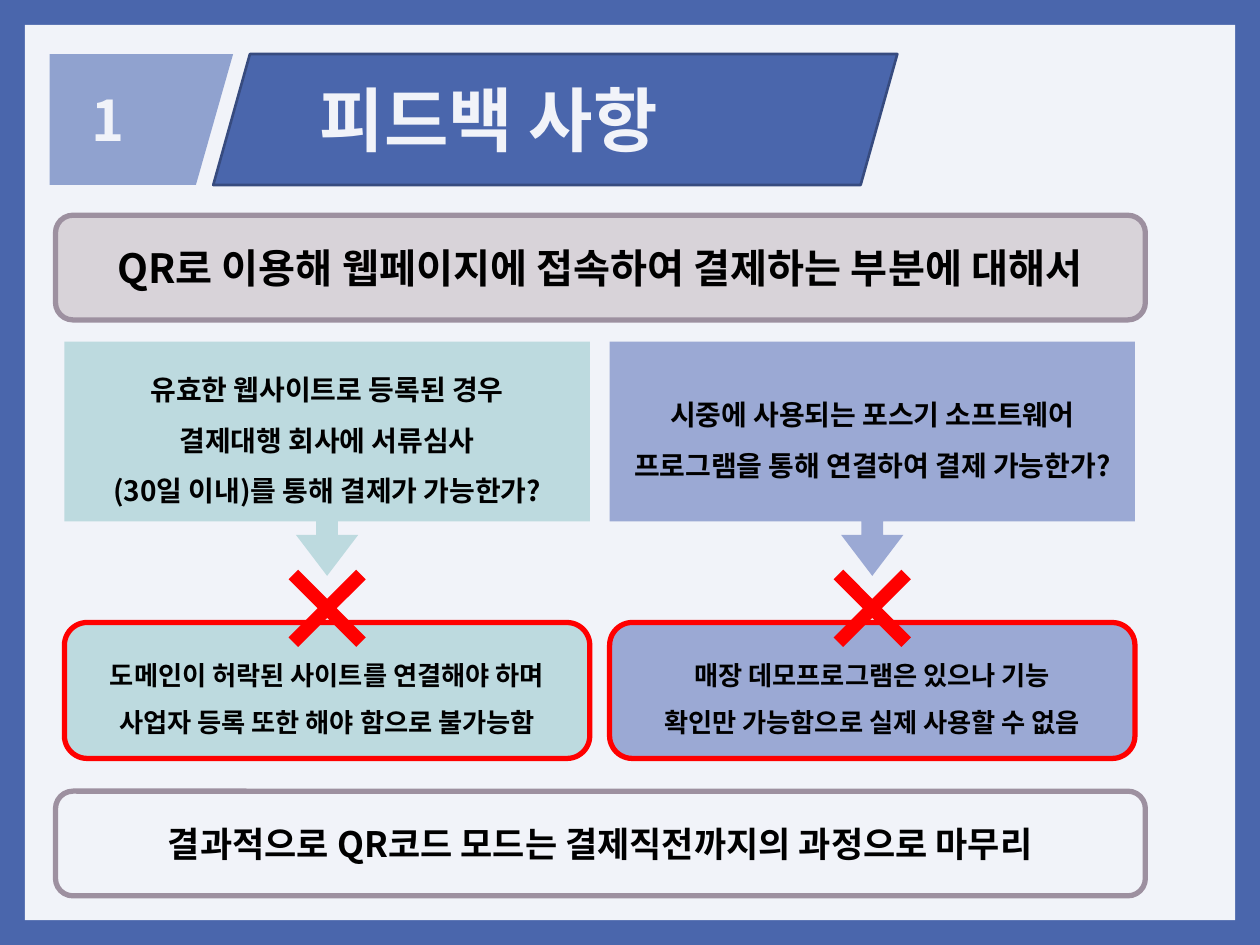
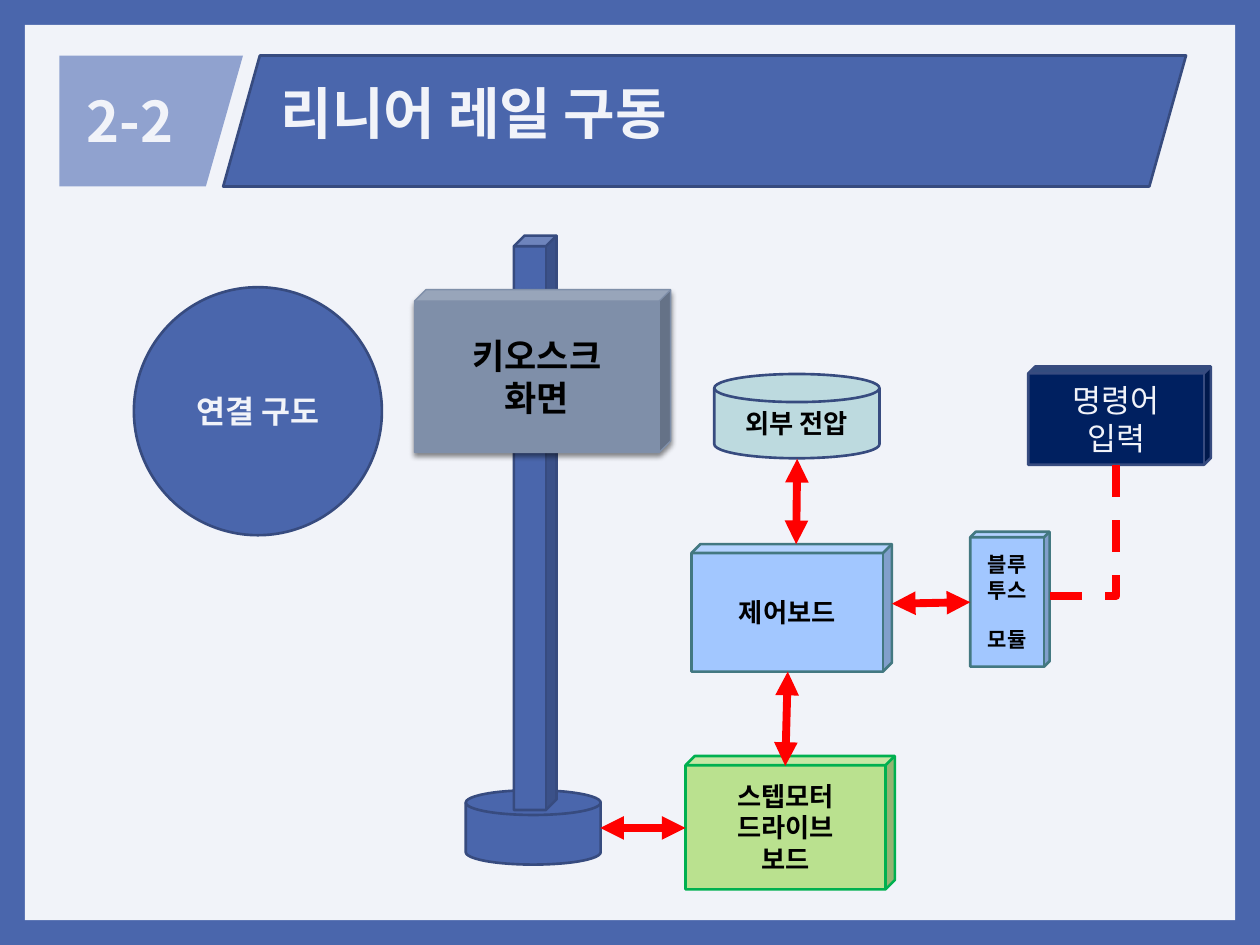
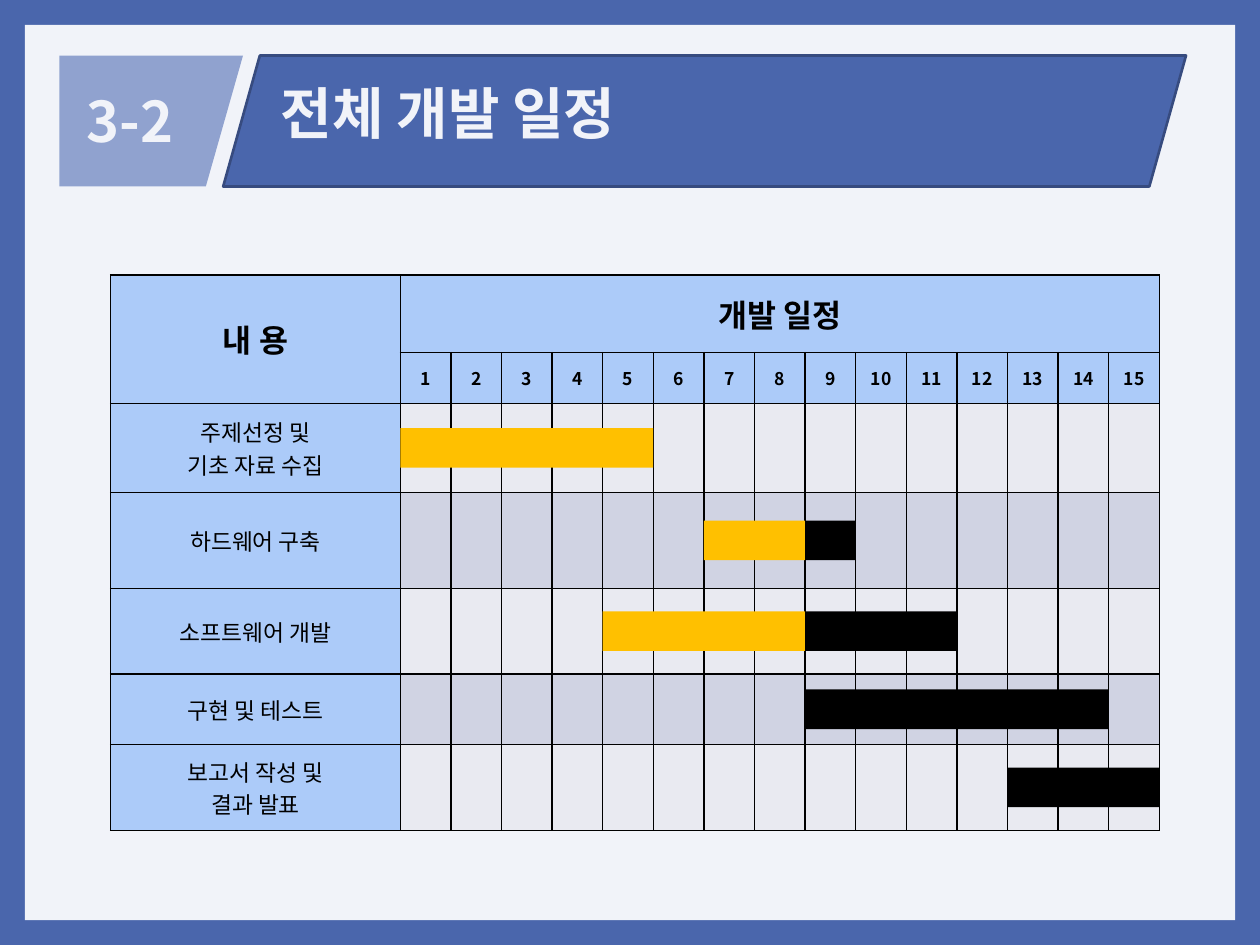
"""Build three project slides: feedback, linear rail diagram and schedule."""
from lxml import etree
from pptx import Presentation
from pptx import util as u
from pptx.dml.color import RGBColor
from pptx.enum import dml, shapes, text
from pptx.oxml import ns

Cm, Pt = u.Cm, u.Pt
Kind = shapes.MSO_SHAPE

FONT = "Noto Sans CJK KR"
BLUE = RGBColor(0x4A, 0x66, 0xAC)
DARK_BLUE = RGBColor(0x37, 0x4B, 0x7F)
LIGHT_BLUE = RGBColor(0x90, 0xA2, 0xCF)
PAPER = RGBColor(0xF1, 0xF3, 0xF9)
BLACK = RGBColor(0, 0, 0)
RED = RGBColor(0xFF, 0, 0)
MAUVE = RGBColor(0x9D, 0x90, 0xA0)
PALE_MAUVE = RGBColor(0xD8, 0xD3, 0xD9)
TEAL = RGBColor(0xBD, 0xDA, 0xDF)
PERIWINKLE = RGBColor(0x9B, 0xA9, 0xD4)
STEEL = RGBColor(0x7F, 0x8F, 0xA9)
SKY = RGBColor(0xA2, 0xC7, 0xFF)
DARK_TEAL = RGBColor(0x43, 0x78, 0x81)
LIME = RGBColor(0xBA, 0xE1, 0x8F)
GREEN = RGBColor(0, 0xB0, 0x50)
NAVY = RGBColor(0, 0x20, 0x60)
HEADER_FILL = RGBColor(0xAC, 0xCB, 0xF9)
ROW_FILLS = RGBColor(0xE9, 0xEA, 0xF1), RGBColor(0xD0, 0xD3, 0xE3)
GOLD = RGBColor(0xFF, 0xC0, 0)

WEEKS = 15
TABLE_LEFT, TABLE_TOP = 2.23, 5.54
LABEL_WIDTH, WEEK_WIDTH = 5.84, 1.02
ROW_HEIGHTS = [1.57, 1.02, 1.8, 1.93, 1.73, 1.42, 1.73]
BAR_HEIGHT = 0.8


def add_xml(parent, tag, **values):
    """Append a DrawingML element and return it."""
    return etree.SubElement(parent, ns.qn(tag), values)


def write(frame, lines, size, color=BLACK, bold=True, align=text.PP_ALIGN.CENTER,
          spacing=None, gap=None):
    """Fill a text frame with one paragraph per line."""
    font_format = {"name": FONT, "size": Pt(size), "bold": bold}
    for index, line in enumerate(lines):
        para = frame.add_paragraph() if index else frame.paragraphs[0]
        para_format = {"alignment": align, "line_spacing": spacing}
        if index and gap:
            para_format["space_before"] = Pt(gap)
        for name, value in para_format.items():
            setattr(para, name, value)
        span = para.add_run()
        span.text = line
        for name, value in font_format.items():
            setattr(span.font, name, value)
        span.font.color.rgb = color
        add_xml(span.font._element, "a:ea", typeface=FONT)


def paint(shape, fill, edge=None, weight=1.5):
    """Set fill and outline, and remove the shadow."""
    shape.shadow.inherit = False
    if fill is None:
        shape.fill.background()
    else:
        shape.fill.solid()
        shape.fill.fore_color.rgb = fill
    if edge is None:
        shape.line.fill.background()
    else:
        shape.line.color.rgb = edge
        shape.line.width = Pt(weight)


def add_block(page, kind, place, fill, edge=None, weight=1.5, adjust=(),
              lines=(), **style):
    """Add a preset shape with centred text."""
    shape = page.shapes.add_shape(kind, *map(Cm, place))
    paint(shape, fill, edge, weight)
    for index, value in enumerate(adjust):
        shape.adjustments[index] = value
    if lines:
        shape.text_frame.word_wrap = True
        shape.text_frame.vertical_anchor = text.MSO_ANCHOR.MIDDLE
        write(shape.text_frame, lines, **style)
    return shape


def add_label(page, place, line, size):
    """Add a light heading text box."""
    box = page.shapes.add_textbox(*map(Cm, place))
    box.text_frame.word_wrap = True
    write(box.text_frame, [line], size, PAPER, align=text.PP_ALIGN.LEFT)


def add_line(page, start, end, arrows=True):
    """Add a thick red connector, double-headed or dashed and bent."""
    kind = shapes.MSO_CONNECTOR.STRAIGHT if arrows else shapes.MSO_CONNECTOR.ELBOW
    link = page.shapes.add_connector(kind, *map(Cm, start + end))
    link.line.color.rgb = RED
    link.line.width = Pt(4.5)
    properties = link._element.spPr
    if arrows:
        for tag in ("a:headEnd", "a:tailEnd"):
            add_xml(link.line._get_or_add_ln(), tag, type="triangle")
    else:
        link.line.dash_style = dml.MSO_LINE.DASH
        properties.find(ns.qn("a:xfrm")).set("rot", "5400000")
        properties.find(ns.qn("a:prstGeom")).set("prst", "bentConnector2")
    add_xml(properties, "a:effectLst")


def add_page(deck):
    """Add a blank page with the light inner panel."""
    page = deck.slides.add_slide(deck.slide_layouts[6])
    add_block(page, Kind.RECTANGLE, (0.5, 0.5, 24.4, 18.05), PAPER)
    return page


def add_header(page, number, title, left=1.2, top=1.12, band_width=19.41,
               number_left=1.5, title_left=5.41, title_size=32):
    """Add the number tag and the slanted title band."""
    add_block(page, Kind.PARALLELOGRAM, (left + 3.3, top, band_width, 2.64),
              BLUE, DARK_BLUE, adjust=[0.28])
    corners = [(left, top), (left + 3.7, top), (left + 2.95, top + 2.64), (left, top + 2.64)]
    points = [(Cm(x), Cm(y)) for x, y in corners]
    builder = page.shapes.build_freeform(*points[0])
    builder.add_line_segments(points[1:], close=True)
    paint(builder.convert_to_shape(), LIGHT_BLUE)
    add_label(page, (title_left, top + 0.33, 17, 1.63), title, title_size)
    add_label(page, (number_left, top + 0.5, 3.6, 1.63), number, 32)


def build_feedback(deck):
    """Build the feedback page."""
    page = add_page(deck)
    add_header(page, "1", "피드백 사항", left=1, top=1.09, band_width=13.79,
               number_left=1.6, title_left=6.2, title_size=40)
    banners = [
        (4.34, PALE_MAUVE, "QR로 이용해 웹페이지에 접속하여 결제하는 부분에 대해서", 23),
        (15.95, None, "결과적으로 QR코드 모드는 결제직전까지의 과정으로 마무리", 20),
    ]
    for top, fill, line, size in banners:
        add_block(page, Kind.ROUNDED_RECTANGLE, (1.12, top, 21.97, 2.11), fill,
                  MAUVE, 3, lines=[line], size=size)
    columns = [
        (1.3, TEAL,
         ["유효한 웹사이트로 등록된 경우", "결제대행 회사에 서류심사",
          "(30일 이내)를 통해 결제가 가능한가?"],
         ["도메인이 허락된 사이트를 연결해야 하며 사업자 등록 또한 해야 함으로 불가능함"]),
        (12.29, PERIWINKLE,
         ["시중에 사용되는 포스기 소프트웨어", "프로그램을 통해 연결하여 결제 가능한가?"],
         ["매장 데모프로그램은 있으나 기능", "확인만 가능함으로 실제 사용할 수 없음"]),
    ]
    for left, fill, question, answer in columns:
        add_block(page, Kind.DOWN_ARROW_CALLOUT, (left, 6.89, 10.59, 4.72), fill,
                  adjust=[0.093, 0.133, 0.175, 0.767],
                  lines=question, size=16, spacing=1.5)
        add_block(page, Kind.ROUNDED_RECTANGLE, (left, 12.55, 10.59, 2.74), fill,
                  RED, 3, lines=answer, size=15, spacing=1.5)
        cross = add_block(page, Kind.CROSS, (left + 4.33, 11.3, 1.93, 1.93), RED,
                          adjust=[0.43])
        cross.rotation = 45


def build_rail(deck):
    """Build the linear rail wiring diagram."""
    page = add_page(deck)
    add_header(page, "2-2", "리니어 레일 구동")
    disk = Kind.FLOWCHART_MAGNETIC_DISK
    add_block(page, disk, (9.39, 15.93, 2.72, 1.5), BLUE, DARK_BLUE)
    add_block(page, Kind.OVAL, (2.7, 5.79, 5, 5), BLUE, DARK_BLUE,
              lines=["연결 구도"], size=18, color=PAPER)
    add_block(page, Kind.CUBE, (10.36, 4.75, 0.86, 11.58), BLUE, DARK_BLUE)
    kiosk = add_block(page, Kind.CUBE, (8.36, 5.84, 5.16, 3.28), STEEL, STEEL, 0.79,
                      [0.07], ["키오스크", "화면"], size=20)
    shadow = add_xml(kiosk._element.spPr.find(ns.qn("a:effectLst")), "a:outerShdw",
                     blurRad=str(Pt(3)), dist=str(Pt(2)), dir="5400000", rotWithShape="0")
    add_xml(add_xml(shadow, "a:srgbClr", val="000000"), "a:alpha", val="45000")
    parts = [
        ((13.94, 10.97, 4.04, 2.57), SKY, DARK_TEAL, ["제어보드"], {"size": 15}),
        ((19.56, 10.72, 1.6, 2.72), SKY, DARK_TEAL, ["블루투스", "모듈"],
         {"size": 12, "gap": 14}),
        ((13.82, 15.24, 4.22, 2.69), LIME, GREEN, ["스텝모터", "드라이브", "보드"],
         {"size": 15}),
        ((20.73, 7.39, 3.68, 1.98), NAVY, DARK_BLUE, ["명령어 입력"],
         {"size": 18, "color": PAPER, "bold": False}),
    ]
    for place, fill, edge, lines, style in parts:
        add_block(page, Kind.CUBE, place, fill, edge, adjust=[0.07], lines=lines, **style)
    add_block(page, disk, (14.4, 7.54, 3.33, 1.7), TEAL, DARK_BLUE,
              lines=["외부 전압"], size=15)
    arrows = [
        ((13.82, 16.69), (12.1, 16.69)),
        ((15.88, 13.54), (15.83, 15.44)),
        ((16.07, 9.25), (16.05, 10.97)),
        ((17.98, 12.17), (19.56, 12.14)),
    ]
    for start, end in arrows:
        add_line(page, start, end)
    add_line(page, (20.52, 10.03), (23.16, 11.36), arrows=False)


def fill_cell(cell, fill, lines=(), **style):
    """Set the fill, borders and centred text of a cell."""
    cell.fill.solid()
    cell.fill.fore_color.rgb = fill
    cell.vertical_anchor = text.MSO_ANCHOR.MIDDLE
    properties = cell._tc.get_or_add_tcPr()
    for index, side in enumerate(("a:lnL", "a:lnR", "a:lnT", "a:lnB")):
        border = etree.Element(ns.qn(side), w=str(Pt(1)))
        add_xml(add_xml(border, "a:solidFill"), "a:srgbClr", val=str(BLACK))
        properties.insert(index, border)
    write(cell.text_frame, lines, **{"size": 13, **style})


def add_schedule(page, tasks):
    """Add the schedule grid."""
    size = LABEL_WIDTH + WEEKS * WEEK_WIDTH, sum(ROW_HEIGHTS)
    frame = page.shapes.add_table(len(ROW_HEIGHTS), WEEKS + 1,
                                  *map(Cm, (TABLE_LEFT, TABLE_TOP) + size))
    table = frame.table
    table.first_row = table.horz_banding = False
    for index, column in enumerate(table.columns):
        column.width = Cm(WEEK_WIDTH if index else LABEL_WIDTH)
    for row, height in zip(table.rows, ROW_HEIGHTS):
        row.height = Cm(height)
    table.cell(0, 0).merge(table.cell(1, 0))
    table.cell(0, 1).merge(table.cell(0, WEEKS))
    headings = {0: ["내 용"], 1: ["개발 일정"]}
    for column in range(WEEKS + 1):
        fill_cell(table.cell(0, column), HEADER_FILL, headings.get(column, ()), size=18)
        fill_cell(table.cell(1, column), HEADER_FILL, [str(column)] if column else (), size=10)
    for row, (lines, _) in enumerate(tasks, 2):
        fill_cell(table.cell(row, 0), HEADER_FILL, lines, bold=False)
        for column in range(1, WEEKS + 1):
            fill_cell(table.cell(row, column), ROW_FILLS[row % 2])


def build_schedule(deck):
    """Build the schedule page with its progress bars."""
    page = add_page(deck)
    add_header(page, "3-2", "전체 개발 일정")
    tasks = [
        (["주제선정 및", "기초 자료 수집"], [(1, 5, GOLD)]),
        (["하드웨어 구축"], [(7, 8, GOLD), (9, 9, BLACK)]),
        (["소프트웨어 개발"], [(5, 8, GOLD), (9, 11, BLACK)]),
        (["구현 및 테스트"], [(9, 14, BLACK)]),
        (["보고서 작성 및", "결과 발표"], [(13, 15, BLACK)]),
    ]
    add_schedule(page, tasks)
    for row, (_, bars) in enumerate(tasks, 2):
        middle = TABLE_TOP + sum(ROW_HEIGHTS[:row]) + ROW_HEIGHTS[row] / 2
        for first, last, fill in bars:
            left = TABLE_LEFT + LABEL_WIDTH + (first - 1) * WEEK_WIDTH
            width = (last - first + 1) * WEEK_WIDTH
            add_block(page, Kind.RECTANGLE,
                      (left, middle - BAR_HEIGHT / 2, width, BAR_HEIGHT), fill)


def main():
    """Build and save the deck."""
    deck = Presentation()
    deck.slide_width, deck.slide_height = Cm(25.4), Cm(19.05)
    backdrop = deck.slide_master.background.fill
    backdrop.solid()
    backdrop.fore_color.rgb = BLUE
    build_feedback(deck)
    build_rail(deck)
    build_schedule(deck)
    deck.save("out.pptx")


if __name__ == "__main__":
    main()
